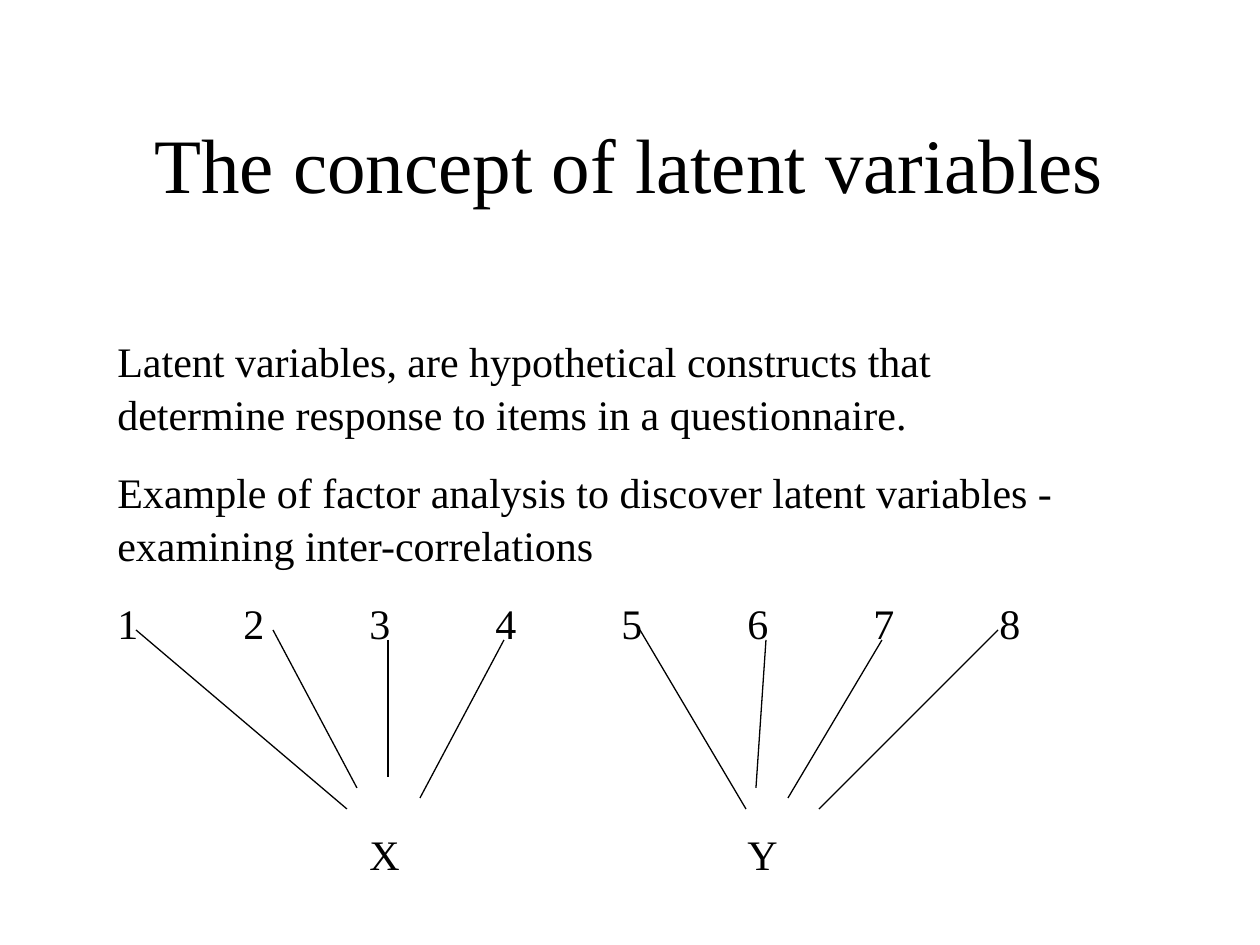
from dataclasses import dataclass

from lxml import etree
from pptx import Presentation
from pptx.dml.color import RGBColor
from pptx.enum.shapes import MSO_CONNECTOR
from pptx.enum.text import MSO_ANCHOR, PP_ALIGN
from pptx.oxml.ns import qn
from pptx.util import Pt

STRAIGHT = MSO_CONNECTOR.STRAIGHT
TOP, MIDDLE = MSO_ANCHOR.TOP, MSO_ANCHOR.MIDDLE
LEFT, CENTER = PP_ALIGN.LEFT, PP_ALIGN.CENTER
EMU_PER_PX = 914400 // 126
TAB_STEP = 126


@dataclass(frozen=True)
class Theme:
    font: str = "Times New Roman"
    ink: RGBColor = RGBColor(0, 0, 0)
    title_size: int = 44
    body_size: int = 24
    line_width: float = 0.75


def px(length):
    return length * EMU_PER_PX


def write_text(paragraph, text, *, theme, size, align=LEFT, before=0, spacing=1.0):
    """Fill a paragraph; tabbed text gets evenly spaced left stops."""
    paragraph.text = text
    paragraph.alignment = align
    paragraph.space_before = Pt(before)
    paragraph.line_spacing = spacing
    if "\t" in text:
        stops = etree.SubElement(paragraph._p.get_or_add_pPr(), qn("a:tabLst"))
        for step in range(1, 8):
            etree.SubElement(stops, qn("a:tab"), pos=str(px(step * TAB_STEP)), algn="l")
    for run in paragraph.runs:
        run.font.name = theme.font
        run.font.size = Pt(size)
        run.font.color.rgb = theme.ink


class SlideWriter:
    def __init__(self, slide, theme):
        self.slide = slide
        self.theme = theme

    def text_box(self, box, entries, *, anchor=TOP, top_inset=6, **style):
        """Each entry is a text and its space before in points."""
        frame = self.slide.shapes.add_textbox(*map(px, box)).text_frame
        frame.word_wrap = True
        frame.vertical_anchor = anchor
        frame.margin_top = px(top_inset)
        for index, (text, before) in enumerate(entries):
            paragraph = frame.add_paragraph() if index else frame.paragraphs[0]
            write_text(paragraph, text, theme=self.theme, before=before, **style)

    def line(self, start, end):
        connector = self.slide.shapes.add_connector(STRAIGHT, *map(px, start + end))
        connector.line.color.rgb = self.theme.ink
        connector.line.width = Pt(self.theme.line_width)
        etree.SubElement(connector._element.spPr, qn("a:effectLst"))


def main():
    deck = Presentation()
    deck.slide_width, deck.slide_height = px(1260), px(945)
    theme = Theme()
    writer = SlideWriter(deck.slides.add_slide(deck.slide_layouts[6]), theme)

    # Title
    writer.text_box((94, 84, 1071, 158), [("The concept of latent variables", 0)],
                    anchor=MIDDLE, size=theme.title_size, align=CENTER)

    # Definition, questionnaire items and the two factors beneath them
    items = "\t".join(str(number) for number in range(1, 9))
    writer.text_box((105, 325, 987, 547), [
        ("Latent variables, are hypothetical constructs that determine "
         "response to items in a questionnaire.", 0),
        ("Example of factor analysis to discover latent variables - "
         "examining inter-correlations", 15),
        (items, 15),
        ("\t\tX\t\t\tY", 102),
    ], size=theme.body_size, spacing=1.04, top_inset=9)

    # Links from each item to its factor
    factor_x_links = [
        ((136, 630), (347, 809)),
        ((273, 630), (357, 788)),
        ((388, 640), (388, 777)),
        ((504, 640), (420, 798)),
    ]
    factor_y_links = [
        ((640, 630), (746, 809)),
        ((766, 640), (756, 788)),
        ((882, 640), (788, 798)),
        ((998, 630), (819, 809)),
    ]
    for item_end, factor_end in factor_x_links + factor_y_links:
        writer.line(item_end, factor_end)

    deck.save("out.pptx")


if __name__ == "__main__":
    main()
